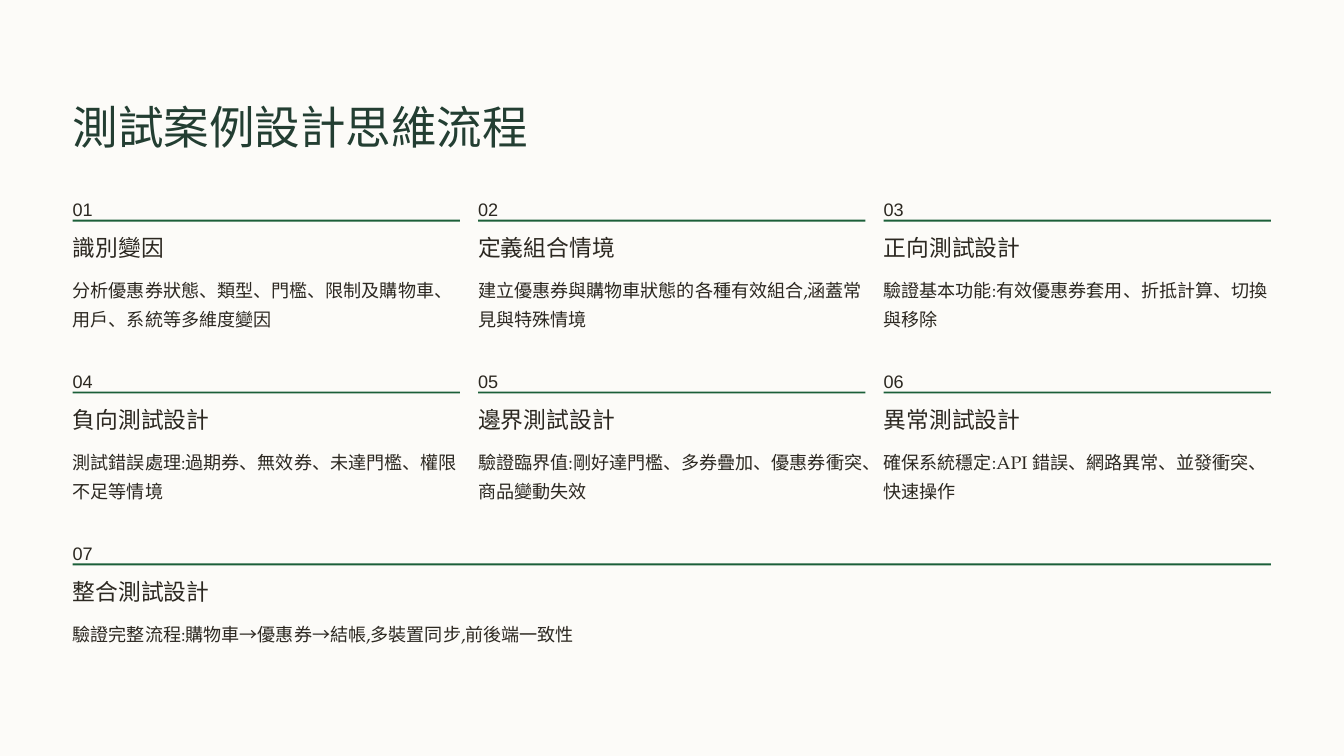
from pptx import Presentation
from pptx.dml.color import RGBColor
from pptx.enum.shapes import MSO_SHAPE
from pptx.util import Cm, Pt

CREAM = RGBColor(0xFC, 0xFB, 0xF8)
DARK_GREEN = RGBColor(0x23, 0x3E, 0x32)
GREEN = RGBColor(0x1B, 0x5F, 0x39)
INK = RGBColor(0x2C, 0x28, 0x21)

TITLE = {"name": "Arial", "size": Pt(39), "color": DARK_GREEN, "line": Pt(48.5)}
NUMBER = {"name": "Arial", "size": Pt(15.5), "color": INK, "line": Pt(25)}
HEADING = {"name": "Arial", "size": Pt(19.5), "color": INK, "line": Pt(24)}
BODY = {"name": "TeX Gyre Pagella", "size": Pt(15.5), "color": INK, "line": Pt(25)}

SLIDE_WIDTH, SLIDE_HEIGHT = 40.64, 22.86
LEFT, TOP = 2.2, 5.77
CONTENT_WIDTH, GAP, COLUMNS = 36.23, 0.55, 3
COLUMN_WIDTH = (CONTENT_WIDTH - GAP * (COLUMNS - 1)) / COLUMNS
ROW_PITCH = 5.2

STEPS = [
    ("識別變因", "分析優惠券狀態、類型、門檻、限制及購物車、用戶、系統等多維度變因"),
    ("定義組合情境", "建立優惠券與購物車狀態的各種有效組合,涵蓋常見與特殊情境"),
    ("正向測試設計", "驗證基本功能:有效優惠券套用、折抵計算、切換與移除"),
    ("負向測試設計", "測試錯誤處理:過期券、無效券、未達門檻、權限不足等情境"),
    ("邊界測試設計", "驗證臨界值:剛好達門檻、多券疊加、優惠券衝突、商品變動失效"),
    ("異常測試設計", "確保系統穩定:API 錯誤、網路異常、並發衝突、快速操作"),
    ("整合測試設計", "驗證完整流程:購物車→優惠券→結帳,多裝置同步,前後端一致性"),
]


def add_text(slide, text, left, top, width, height, style, wrap=False):
    shape = slide.shapes.add_textbox(Cm(left), Cm(top), Cm(width), Cm(height))
    frame = shape.text_frame
    frame.word_wrap = wrap
    for side in ("left", "top", "right", "bottom"):
        setattr(frame, f"margin_{side}", 0)
    paragraph = frame.paragraphs[0]
    paragraph.line_spacing = style["line"]
    run = paragraph.add_run()
    run.text = text
    for name in ("name", "size"):
        setattr(run.font, name, style[name])
    run.font.color.rgb = style["color"]


def add_rectangle(slide, left, top, width, height, color):
    shape = slide.shapes.add_shape(
        MSO_SHAPE.RECTANGLE, Cm(left), Cm(top), Cm(width), Cm(height))
    shape.shadow.inherit = False
    shape.fill.solid()
    shape.fill.fore_color.rgb = color
    shape.line.fill.background()


def add_step(slide, number, heading, body, left, top, width):
    """Stack number, rule, heading and body from the given top left corner."""
    add_text(slide, f"{number:02d}", left, top, 0.7, 0.69, NUMBER)
    add_rectangle(slide, left, top + 0.87, width, 0.06, GREEN)
    add_text(slide, heading, left, top + 1.27, 6.88, 0.86, HEADING)
    add_text(slide, body, left, top + 2.46, width, 1.75, BODY, wrap=True)


def add_steps(slide, left, top):
    """Place the steps in a grid; a step alone in the last row spans it."""
    for index, (heading, body) in enumerate(STEPS):
        row, column = divmod(index, COLUMNS)
        alone = column == 0 and index == len(STEPS) - 1
        add_step(slide, index + 1, heading, body,
                 left + column * (COLUMN_WIDTH + GAP), top + row * ROW_PITCH,
                 CONTENT_WIDTH if alone else COLUMN_WIDTH)


def main():
    presentation = Presentation()
    presentation.slide_width = Cm(SLIDE_WIDTH)
    presentation.slide_height = Cm(SLIDE_HEIGHT)
    slide = presentation.slides.add_slide(presentation.slide_layouts[6])
    add_rectangle(slide, 0, 0, SLIDE_WIDTH, SLIDE_HEIGHT, CREAM)
    add_text(slide, "測試案例設計思維流程", LEFT, 2.93, 13.9, 1.73, TITLE)
    add_steps(slide, LEFT, TOP)
    presentation.save("out.pptx")


if __name__ == "__main__":
    main()
